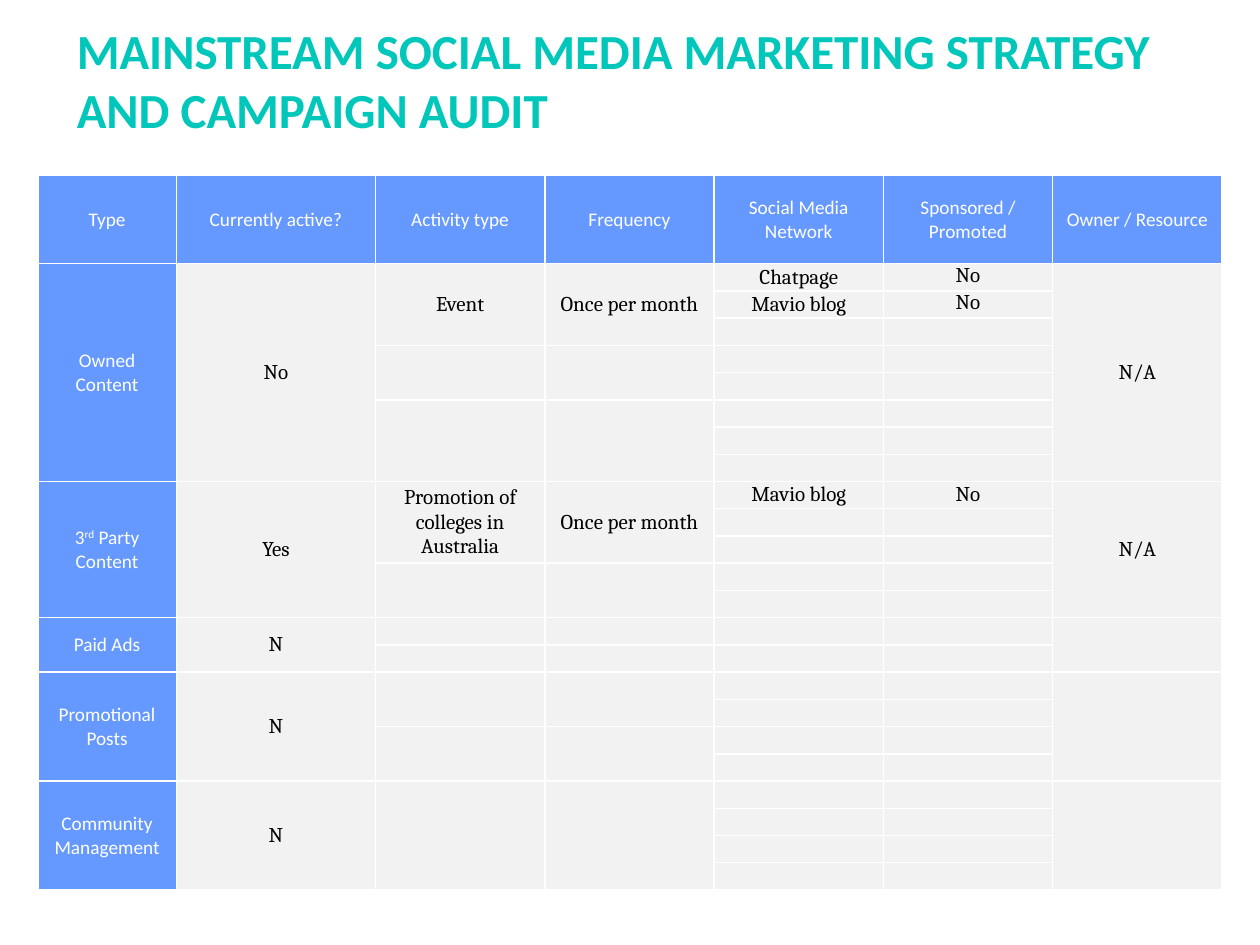
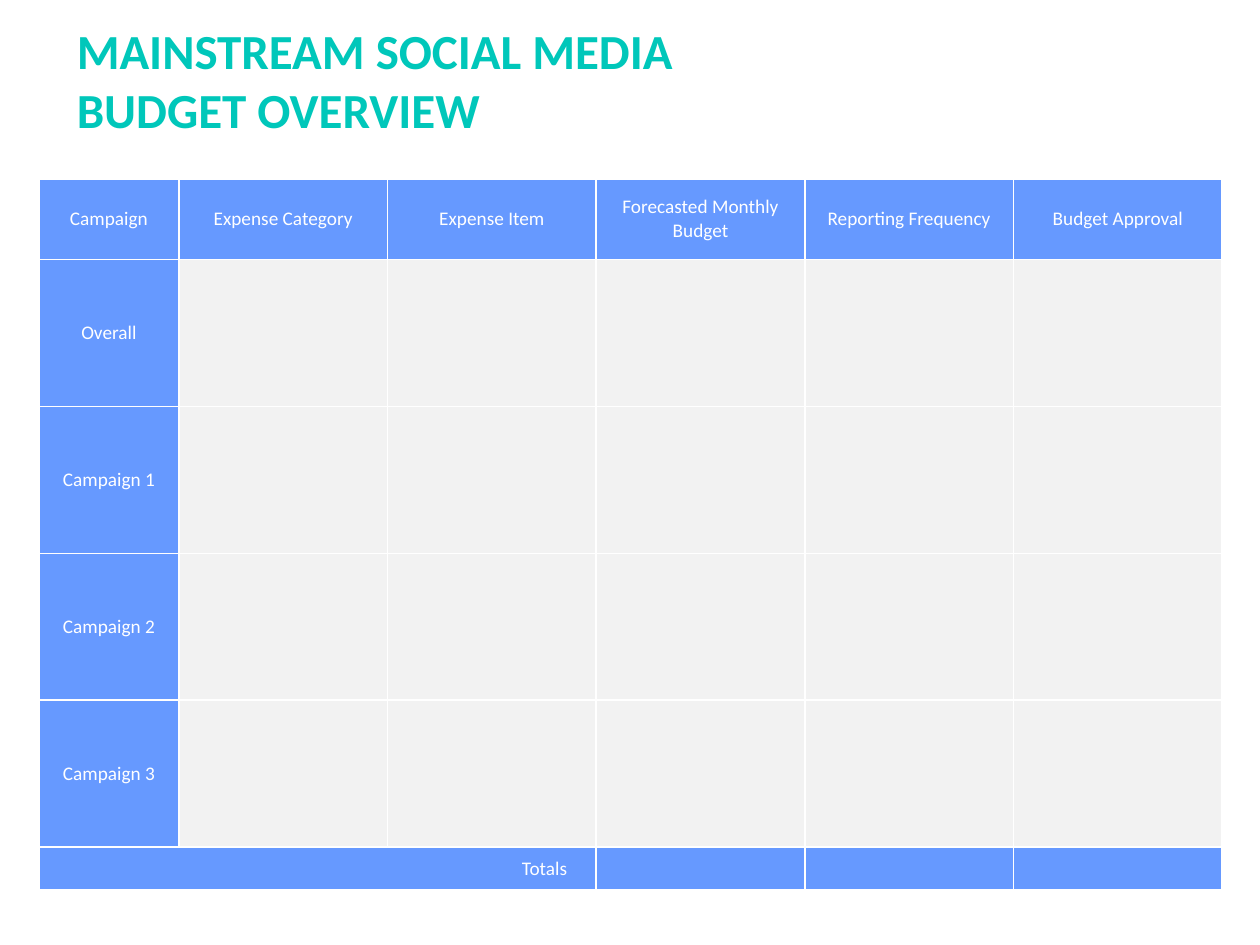
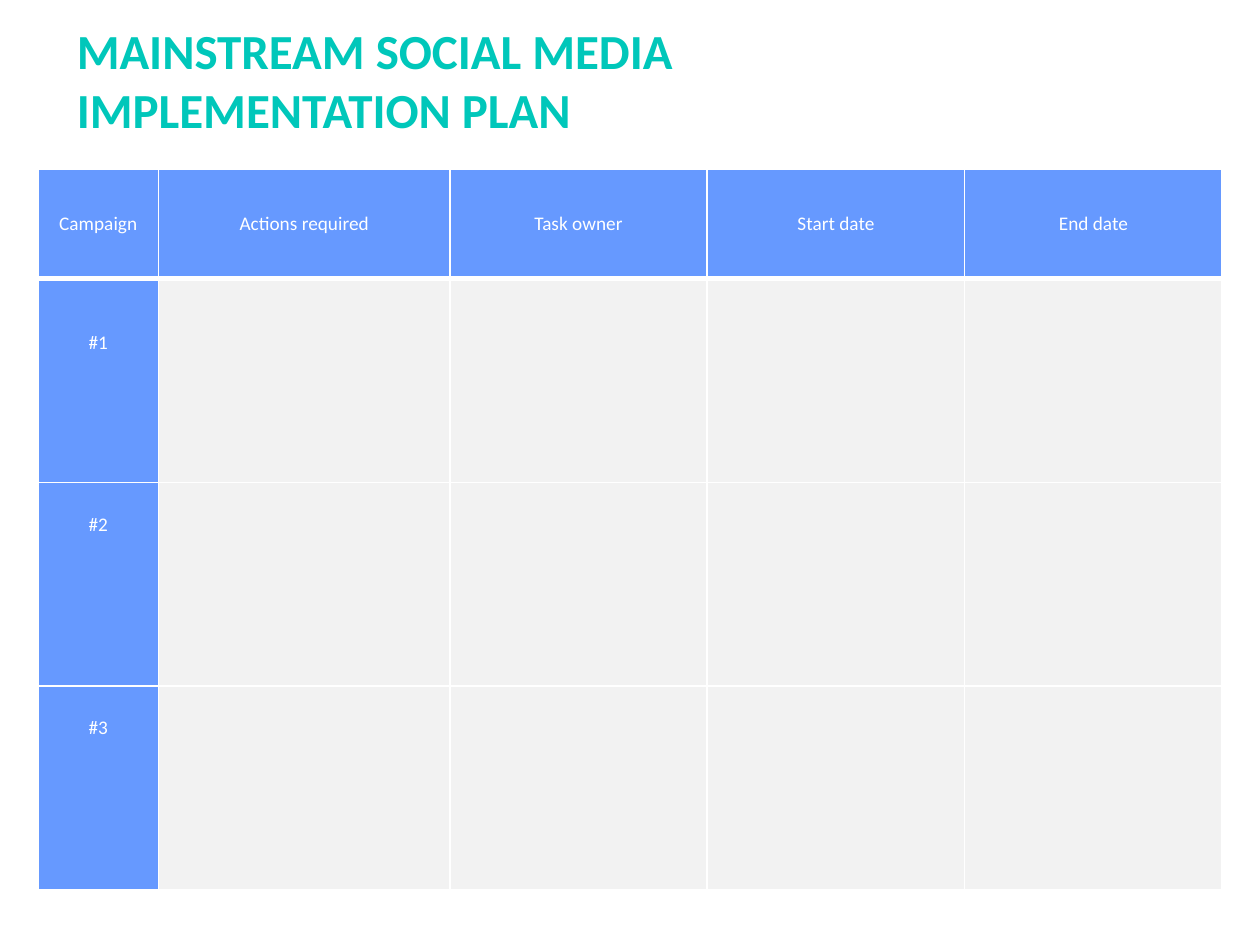
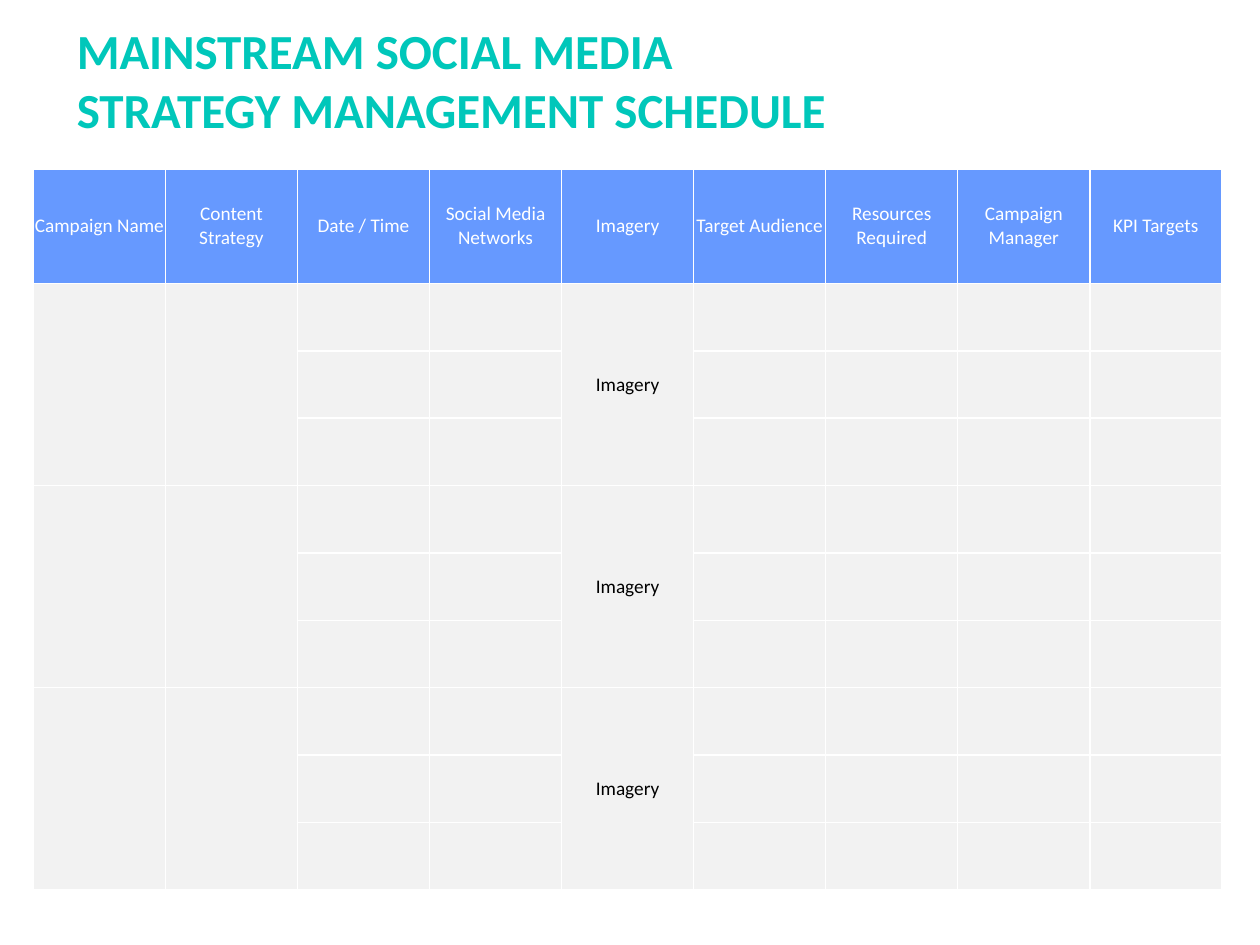
"""Build four social media planning slides, each a title above a table."""
from dataclasses import dataclass, field
from itertools import product
from typing import Any

import lxml.etree as etree
import pptx
import pptx.dml.color
import pptx.enum.text
import pptx.oxml.ns
import pptx.util

SLIDE_WIDTH = pptx.util.Inches(10)
SLIDE_HEIGHT = pptx.util.Inches(7.5)
TABLE_RIGHT, TABLE_BOTTOM = 97, 94.2

TEAL, BLUE, GREY, WHITE, BLACK = "00C7BA", "6699FF", "F2F2F2", "FFFFFF", "000000"
ALIGN = pptx.enum.text.PP_ALIGN
ANCHOR = pptx.enum.text.MSO_ANCHOR


@dataclass(frozen=True)
class Style:
    fill: str
    color: str
    font: str = "Calibri"
    size: float = 11
    bold: bool = False


HEADING = Style(BLUE, WHITE)
ANSWER = Style(GREY, BLACK, "Cambria", 12)
NOTE = Style(GREY, BLACK)
BLANK = Style(GREY, BLACK, size=8)
TITLE = Style(WHITE, TEAL, size=28, bold=True)


@dataclass(frozen=True)
class Entry:
    row: int
    column: int
    text: str = ""
    style: Style = BLANK
    rows: int = 1
    columns: int = 1
    format: dict[str, Any] = field(default_factory=dict)


@dataclass(frozen=True)
class Plan:
    """A table slide; lengths are percentages of the slide's size."""
    title: list[str]
    headings: list[str]
    body_rows: int
    entries: list[Entry]
    left: float
    top: float
    header_height: float
    title_width: float = 88.3
    first_widths: tuple[float, ...] = ()
    footer_height: float = 0
    pad: tuple[float, float] = (1, 0.67)
    header_rule: float = 1


@dataclass(frozen=True)
class Section:
    """A content type with its activities (rows, activity, frequency) and networks."""
    label: str
    rows: int
    active: str
    activities: list[tuple[int, str, str]]
    networks: list[tuple[str, str]] = field(default_factory=list)
    owner: str = ""
    sponsor_anchor: Any = ANCHOR.MIDDLE


def across(percent: float) -> int:
    """Return a percentage of the slide's width."""
    return pptx.util.Emu(round(SLIDE_WIDTH * percent / 100))


def down(percent: float) -> int:
    """Return a percentage of the slide's height."""
    return pptx.util.Emu(round(SLIDE_HEIGHT * percent / 100))


def rgb(code: str) -> pptx.dml.color.RGBColor:
    """Turn a hex string into a colour."""
    return pptx.dml.color.RGBColor.from_string(code)


def apply(target: Any, values: dict[str, Any]) -> None:
    """Set every named value on the target."""
    for name, value in values.items():
        setattr(target, name, value)


def write(paragraph: Any, text: str, style: Style, align: Any) -> None:
    """Write styled text, raising the parts between carets."""
    paragraph.alignment = align
    for index, part in enumerate(text.split("^")):
        run = paragraph.add_run()
        run.text = part
        apply(run.font, {"name": style.font, "size": pptx.util.Pt(style.size), "bold": style.bold})
        run.font.color.rgb = rgb(style.color)
        if index % 2:
            run.font._element.set("baseline", "30000")


def draw_borders(cell: Any, top: float, bottom: float) -> None:
    """Give a cell white borders, with top and bottom widths in points."""
    properties = cell._tc.get_or_add_tcPr()
    widths = {"a:lnL": 1, "a:lnR": 1, "a:lnT": top, "a:lnB": bottom}
    for index, (side, width) in enumerate(widths.items()):
        line = etree.Element(pptx.oxml.ns.qn(side), w=str(pptx.util.Pt(width)))
        fill = etree.SubElement(line, pptx.oxml.ns.qn("a:solidFill"))
        etree.SubElement(fill, pptx.oxml.ns.qn("a:srgbClr"), val=WHITE)
        properties.insert(index, line)


def fill_cell(cell: Any, entry: Entry, pad: tuple[float, float]) -> None:
    """Fill, pad and write one cell."""
    cell.fill.solid()
    cell.fill.fore_color.rgb = rgb(entry.style.fill)
    values = {
        "margin_left": across(pad[0]),
        "margin_right": across(pad[0]),
        "margin_top": down(pad[1]),
        "margin_bottom": down(pad[1]),
        "vertical_anchor": ANCHOR.MIDDLE,
        "align": ALIGN.CENTER,
    } | entry.format
    align = values.pop("align")
    apply(cell, values)
    paragraph = cell.text_frame.paragraphs[0]
    for end in paragraph._p.findall(pptx.oxml.ns.qn("a:endParaRPr")):
        paragraph._p.remove(end)
    if entry.text:
        write(paragraph, entry.text, entry.style, align)
    else:
        etree.SubElement(paragraph._p, pptx.oxml.ns.qn("a:endParaRPr"), sz=str(entry.style.size * 100))


def draw_title(slide: Any, plan: Plan) -> None:
    """Place and format the slide's title."""
    title = slide.shapes.title
    apply(title, {"left": across(5.1), "top": down(1.47),
                  "width": across(plan.title_width), "height": down(13.87)})
    frame = title.text_frame
    apply(frame, {"word_wrap": True, "vertical_anchor": ANCHOR.MIDDLE,
                  "auto_size": pptx.enum.text.MSO_AUTO_SIZE.SHAPE_TO_FIT_TEXT})
    for index, text in enumerate(plan.title):
        paragraph = frame.add_paragraph() if index else frame.paragraphs[0]
        write(paragraph, text, TITLE, ALIGN.LEFT)


def draw_table(slide: Any, plan: Plan) -> None:
    """Draw the plan's table, sharing out the space that is left equally."""
    footers = 1 if plan.footer_height else 0
    row_count, column_count = 1 + plan.body_rows + footers, len(plan.headings)
    width, height = TABLE_RIGHT - plan.left, TABLE_BOTTOM - plan.top
    table = slide.shapes.add_table(row_count, column_count, across(plan.left), down(plan.top),
                                   across(width), down(height)).table
    apply(table, {"first_row": False, "horz_banding": False})

    equal_columns = column_count - len(plan.first_widths)
    equal_width = (width - sum(plan.first_widths)) / equal_columns
    for column, share in zip(table.columns, [*plan.first_widths, *[equal_width] * equal_columns]):
        column.width = across(share)
    body_height = (height - plan.header_height - plan.footer_height) / plan.body_rows
    heights = [plan.header_height, *[body_height] * plan.body_rows, plan.footer_height]
    for row, share in zip(table.rows, heights):
        row.height = down(share)

    entries = {(entry.row, entry.column): entry for entry in plan.entries}
    for column, heading in enumerate(plan.headings):
        entries[0, column] = Entry(0, column, heading, HEADING)
    for row, column in product(range(row_count), range(column_count)):
        cell = table.cell(row, column)
        fill_cell(cell, entries.get((row, column), Entry(row, column)), plan.pad)
        draw_borders(cell, plan.header_rule if row == 1 else 1, plan.header_rule if row == 0 else 1)
    for entry in entries.values():
        if entry.rows * entry.columns > 1:
            last = table.cell(entry.row + entry.rows - 1, entry.column + entry.columns - 1)
            table.cell(entry.row, entry.column).merge(last)


def audit_entries(sections: list[Section]) -> list[Entry]:
    """Lay the audit sections out one below the other."""
    entries, row = [], 1
    for section in sections:
        entries += [
            Entry(row, 0, section.label, HEADING, section.rows),
            Entry(row, 1, section.active, ANSWER, section.rows),
            Entry(row, 6, section.owner, ANSWER if section.owner else BLANK, section.rows),
        ]
        activity_row = row
        for rows, activity, frequency in section.activities:
            for column, text in ((2, activity), (3, frequency)):
                entries.append(Entry(activity_row, column, text, ANSWER if text else BLANK, rows))
            activity_row += rows
        for offset, (network, sponsored) in enumerate(section.networks):
            entries += [
                Entry(row + offset, 4, network, ANSWER),
                Entry(row + offset, 5, sponsored, ANSWER,
                      format={"vertical_anchor": section.sponsor_anchor}),
            ]
        row += section.rows
    return entries


AUDIT = [
    Section("Owned Content", 8, "No", [(3, "Event", "Once per month"), (2, "", ""), (3, "", "")],
            [("Chatpage", "No"), ("Mavio blog", "No")], "N/A", ANCHOR.TOP),
    Section("3^rd^ Party Content", 5, "Yes",
            [(3, "Promotion of colleges in Australia", "Once per month"), (2, "", "")],
            [("Mavio blog", "No")], "N/A"),
    Section("Paid Ads", 2, "N", [(1, "", ""), (1, "", "")]),
    Section("Promotional Posts", 4, "N", [(2, "", ""), (2, "", "")]),
    Section("Community Management", 4, "N", [(4, "", "")]),
]

BUDGET_LABELS = ["Overall", "Campaign 1", "Campaign 2", "Campaign 3"]
TOTALS = Entry(5, 0, "Totals", HEADING, columns=3,
               format={"align": ALIGN.RIGHT, "margin_right": across(2.3),
                       "margin_top": 0, "margin_bottom": 0})
CAMPAIGN_DROPS = {"#1": 5.6, "#2": 3.2, "#3": 3.2}

PLANS = [
    Plan(
        title=["MAINSTREAM SOCIAL MEDIA MARKETING STRATEGY AND CAMPAIGN AUDIT"],
        headings=["Type", "Currently active?", "Activity type", "Frequency",
                  "Social Media Network", "Sponsored / Promoted", "Owner / Resource"],
        body_rows=sum(section.rows for section in AUDIT),
        entries=audit_entries(AUDIT),
        left=3, top=18.6, header_height=9.3, title_width=88.2,
        first_widths=(11, 15.8), pad=(0.7, 0),
    ),
    Plan(
        title=["MAINSTREAM SOCIAL MEDIA", "BUDGET OVERVIEW"],
        headings=["Campaign", "Expense Category", "Expense Item", "Forecasted Monthly Budget",
                  "Reporting Frequency", "Budget Approval"],
        body_rows=len(BUDGET_LABELS),
        entries=[Entry(row, 0, label, HEADING) for row, label in enumerate(BUDGET_LABELS, 1)]
        + [TOTALS] + [Entry(5, column, style=HEADING) for column in range(3, 6)],
        left=3.1, top=18.93, header_height=8.53,
        first_widths=(11.1,), footer_height=4.53,
    ),
    Plan(
        title=["MAINSTREAM SOCIAL MEDIA", "IMPLEMENTATION PLAN"],
        headings=["Campaign", "Actions required", "Task owner", "Start date", "End date"],
        body_rows=len(CAMPAIGN_DROPS),
        entries=[Entry(row, 0, label, HEADING,
                       format={"vertical_anchor": ANCHOR.TOP, "margin_top": down(drop)})
                 for row, (label, drop) in enumerate(CAMPAIGN_DROPS.items(), 1)],
        left=3, top=17.87, header_height=11.6,
        first_widths=(9.6, 23.1), header_rule=3,
    ),
    Plan(
        title=["MAINSTREAM SOCIAL MEDIA", "STRATEGY MANAGEMENT SCHEDULE"],
        headings=["Campaign Name", "Content Strategy", "Date / Time", "Social Media Networks",
                  "Imagery", "Target Audience", "Resources Required", "Campaign Manager",
                  "KPI Targets"],
        body_rows=9,
        entries=[Entry(row, column, text, NOTE, rows=3)
                 for row in (1, 4, 7) for column, text in ((0, ""), (1, ""), (4, "Imagery"))],
        left=2.65, top=17.87, header_height=12.13, title_width=90.1, pad=(0.1, 0.1),
    ),
]


def main() -> None:
    """Build every slide and save the presentation."""
    deck = pptx.Presentation()
    apply(deck, {"slide_width": SLIDE_WIDTH, "slide_height": SLIDE_HEIGHT})
    title_only = deck.slide_layouts[5]
    for plan in PLANS:
        slide = deck.slides.add_slide(title_only)
        draw_title(slide, plan)
        draw_table(slide, plan)
    deck.save("out.pptx")


if __name__ == "__main__":
    main()
